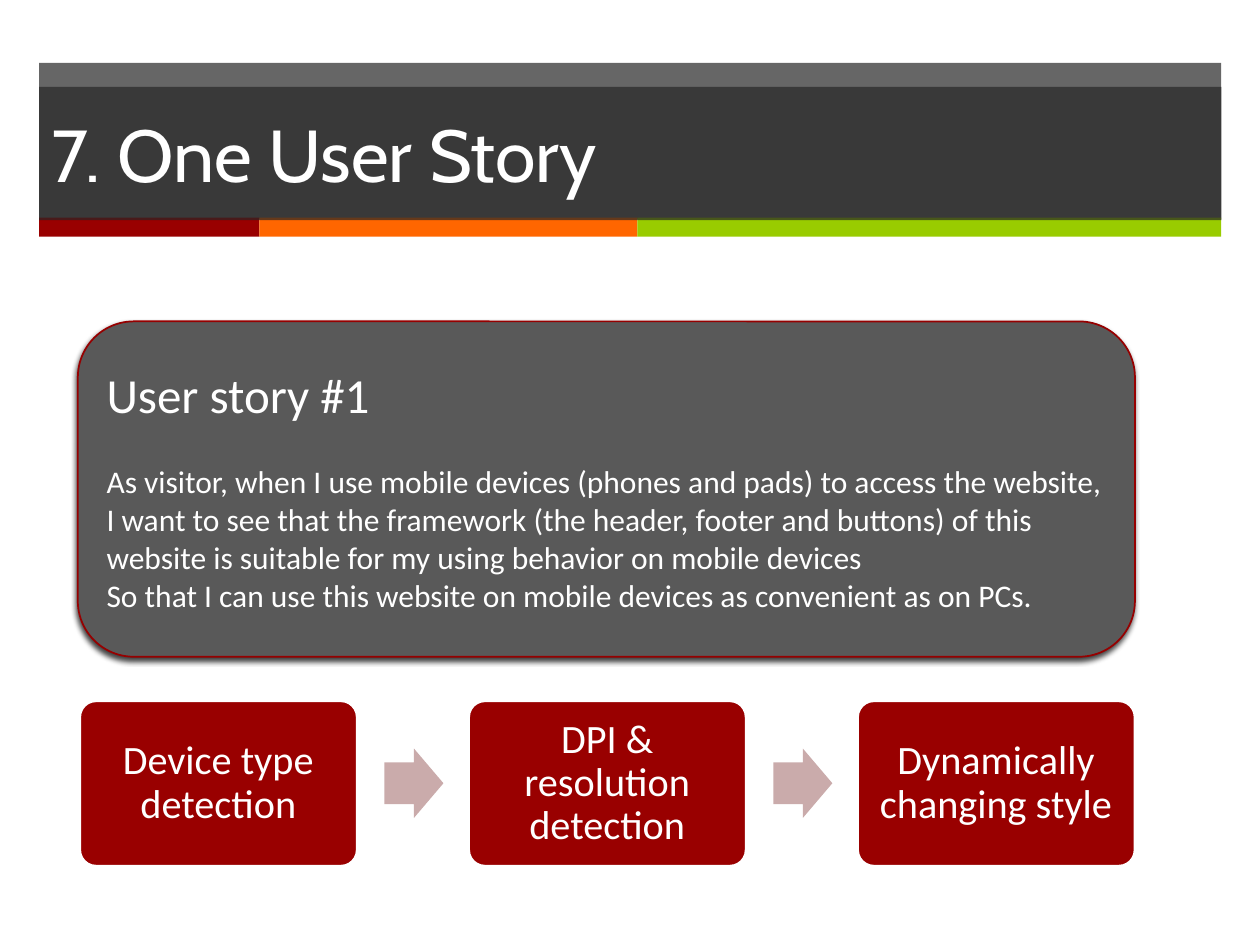
import lxml.etree
import pptx
import pptx.dml.color
import pptx.enum.shapes
import pptx.enum.text
import pptx.oxml
import pptx.oxml.ns
import pptx.util

Cm = pptx.util.Cm
Pt = pptx.util.Pt
RGBColor = pptx.dml.color.RGBColor
MSO_SHAPE = pptx.enum.shapes.MSO_SHAPE
PP_ALIGN = pptx.enum.text.PP_ALIGN
qn = pptx.oxml.ns.qn

WHITE = RGBColor(0xFF, 0xFF, 0xFF)
CHARCOAL = RGBColor(0x26, 0x26, 0x26)
GRAY = RGBColor(0x59, 0x59, 0x59)
RED = RGBColor(0x99, 0x00, 0x00)
DARK_RED = RGBColor(0x96, 0x00, 0x00)
ORANGE = RGBColor(0xFF, 0x66, 0x00)
GREEN = RGBColor(0x99, 0xCC, 0x00)
PALE_RED = RGBColor(0xCA, 0xAB, 0xAB)

presentation = pptx.Presentation()
presentation.slide_width = Cm(25.4)
presentation.slide_height = Cm(19.05)
slide = presentation.slides.add_slide(presentation.slide_layouts[5])


def add_block(kind, left, top, width, height, fill, line=None, line_width=1):
    """Add a filled preset shape, measured in centimetres."""
    block = slide.shapes.add_shape(kind, Cm(left), Cm(top), Cm(width), Cm(height))
    block.shadow.inherit = False
    block.fill.solid()
    block.fill.fore_color.rgb = fill
    if line is None:
        block.line.fill.background()
    else:
        block.line.color.rgb = line
        block.line.width = Pt(line_width)
    return block


def write(frame, text, size, font="Calibri", align=PP_ALIGN.LEFT, spacing=None, before=0):
    """Write one white paragraph, using the empty first one if there is one."""
    first = frame.paragraphs[0]
    paragraph = frame.add_paragraph() if first.runs else first
    paragraph.alignment = align
    paragraph.space_before = Pt(before)
    if spacing:
        paragraph.line_spacing = spacing
    run = paragraph.add_run()
    run.text = text
    run.font.size = Pt(size)
    run.font.name = font
    run.font.color.rgb = WHITE
    frame.word_wrap = True
    frame.auto_size = pptx.enum.text.MSO_AUTO_SIZE.NONE
    frame.vertical_anchor = pptx.enum.text.MSO_ANCHOR.MIDDLE


# Header
HEADER_LEFT, HEADER_WIDTH = 0.79, 23.83
header_band = add_block(MSO_SHAPE.RECTANGLE, HEADER_LEFT, 1.27, HEADER_WIDTH, 3.15, CHARCOAL)
stripe_left = HEADER_LEFT
for stripe_width, color in ((4.44, RED), (7.62, ORANGE), (11.77, GREEN)):
    add_block(MSO_SHAPE.RECTANGLE, stripe_left, 4.39, stripe_width, 0.38, color)
    stripe_left += stripe_width

title = slide.shapes.title
title.left, title.top = Cm(HEADER_LEFT), Cm(1.75)
title.width, title.height = Cm(HEADER_WIDTH), Cm(2.69)
title.fill.solid()
title.fill.fore_color.rgb = CHARCOAL
write(title.text_frame, "7. One User Story", 42, font="Cabin")
slide.shapes._spTree.append(title._element)

for panel in (header_band, title):
    panel_color = panel._element.spPr.find(qn("a:solidFill"))[0]
    lxml.etree.SubElement(panel_color, qn("a:alpha")).set("val", "70000")

# User story
story = add_block(MSO_SHAPE.ROUNDED_RECTANGLE, 1.57, 6.48, 21.31, 6.76, GRAY, DARK_RED)
write(story.text_frame, "User story #1", 28)
write(story.text_frame,
      "As visitor, when I use mobile devices (phones and pads) to access the website, "
      "I want to see that the framework (the header, footer and buttons) of this "
      "website is suitable for my using behavior on mobile devices", 18, before=22)
write(story.text_frame,
      "So that I can use this website on mobile devices as convenient as on PCs.", 18)
story_effects = story._element.spPr.find(qn("a:effectLst"))
story_effects.append(pptx.oxml.parse_xml(
    '<a:outerShdw xmlns:a="http://schemas.openxmlformats.org/drawingml/2006/main" '
    'blurRad="38100" dist="25400" dir="6600000" rotWithShape="0">'
    '<a:srgbClr val="000000"><a:alpha val="75000"/></a:srgbClr></a:outerShdw>'))

# Process steps
steps = ("Device type detection", "DPI & resolution detection", "Dynamically changing style")
STEP_PITCH = 7.84
for index, label in enumerate(steps):
    step_left = 1.6 + index * STEP_PITCH
    step = add_block(MSO_SHAPE.ROUNDED_RECTANGLE, step_left, 14.12, 5.61, 3.35, RED, WHITE, 2)
    step.adjustments[0] = 0.1
    frame = step.text_frame
    frame.margin_left = frame.margin_right = Cm(0.25)
    frame.margin_top = frame.margin_bottom = Cm(0.25)
    write(frame, label, 23, align=PP_ALIGN.CENTER, spacing=0.9)
    if index < len(steps) - 1:
        arrow = add_block(MSO_SHAPE.RIGHT_ARROW, step_left + 6.15, 15.09, 1.19, 1.4, PALE_RED)
        arrow.adjustments[0] = 0.6
        arrow.adjustments[1] = 0.5

presentation.save("out.pptx")
